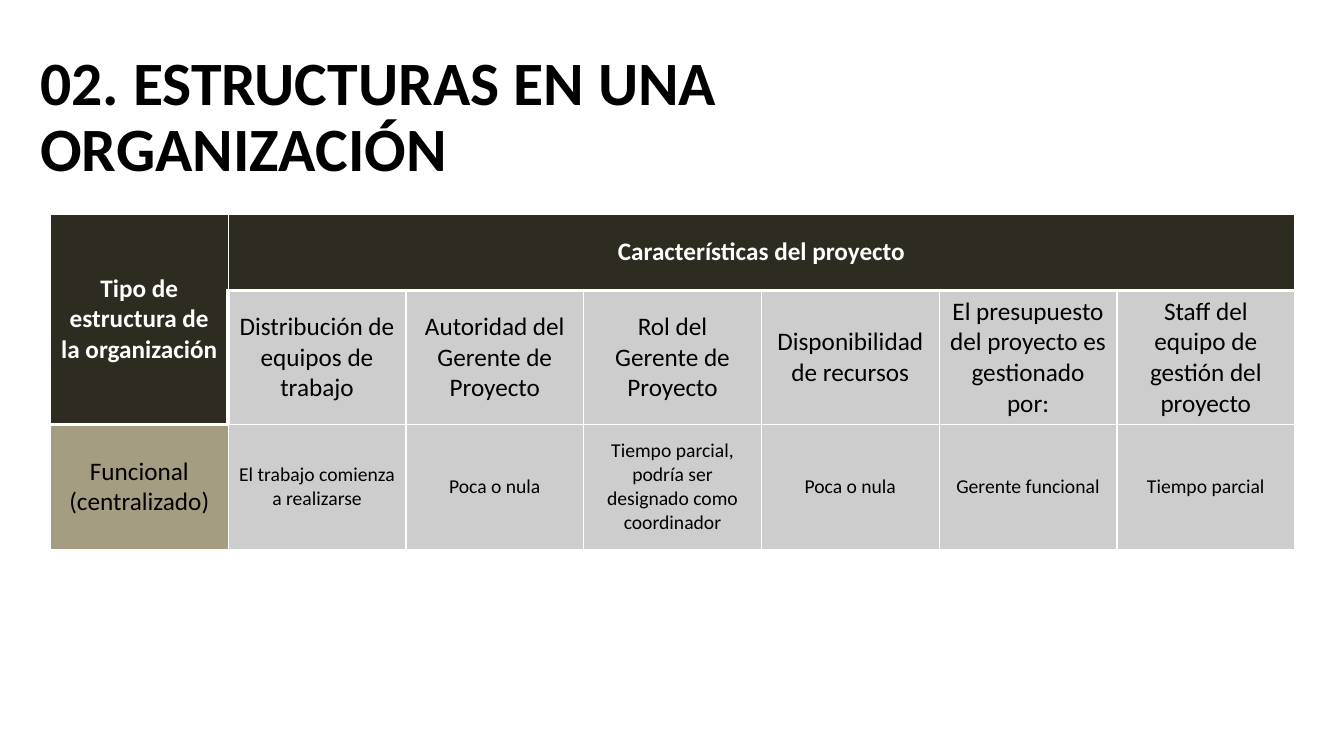
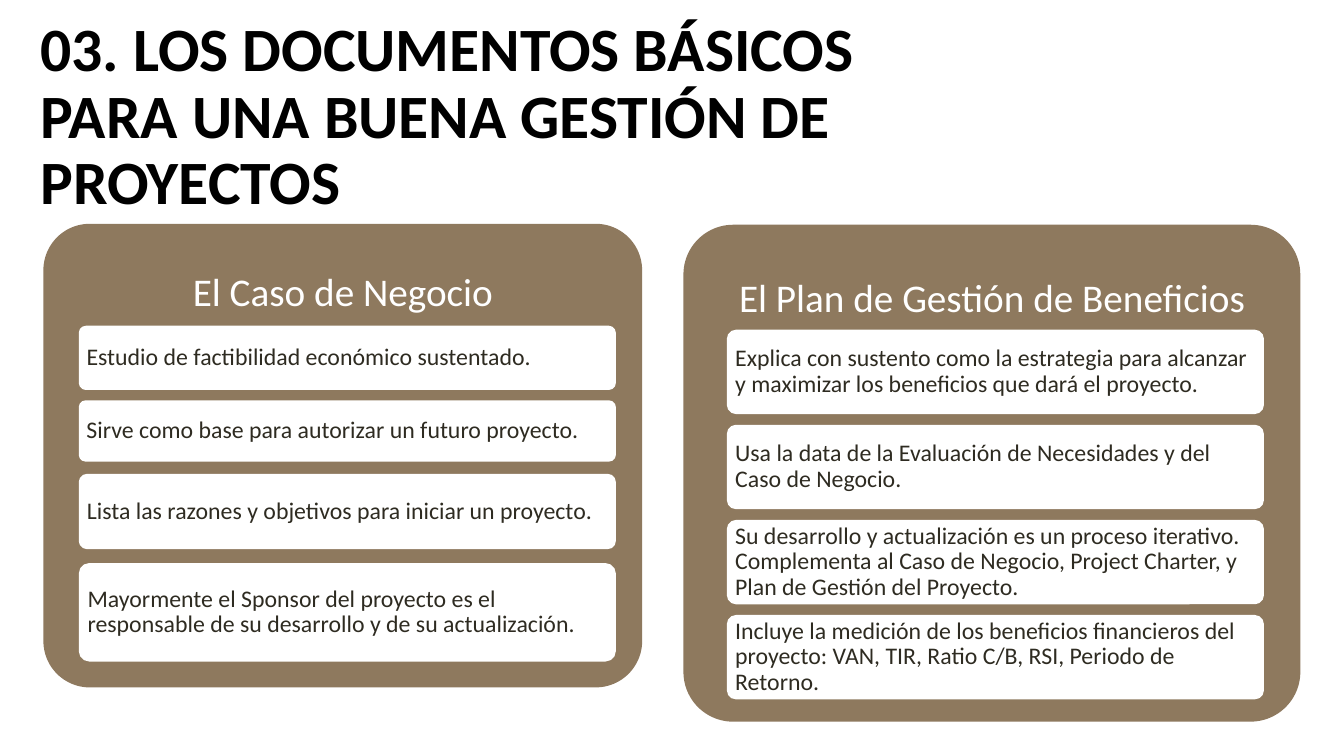
from dataclasses import dataclass

from lxml import etree
from pptx import Presentation
from pptx import util as u
from pptx.dml.color import RGBColor
from pptx.enum import shapes, text
from pptx.oxml import ns


@dataclass(frozen=True)
class Theme:
    font: str = "Calibri"
    black: str = "000000"
    white: str = "FFFFFF"
    dark: str = "2E2B21"
    gray: str = "CDCDCD"
    sand: str = "A59D82"
    brown: str = "8E795E"
    title: int = 44
    head: int = 28
    label: int = 18
    item: int = 17
    small: int = 14
    thin: float = 1
    edge: float = 1.25
    thick: float = 3
    tight: float = 0.9
    round: float = 0.1


LEFT, MID = text.PP_ALIGN.LEFT, text.PP_ALIGN.CENTER


class Deck:
    """Holds the theme and the current slide; boxes are percentages of the slide."""

    def __init__(self, theme):
        self.theme = theme
        self.prs = Presentation()
        self.prs.slide_width, self.prs.slide_height = u.Inches(13.33), u.Inches(7.5)
        self.slide = None

    def wide(self, share):
        return round(self.prs.slide_width * share / 100)

    def high(self, share):
        return round(self.prs.slide_height * share / 100)

    def place(self, box):
        x, y, w, h = box
        return self.wide(x), self.high(y), self.wide(w), self.high(h)

    def label(self, frame, words, size, color, bold=False, align=LEFT, lead=None):
        frame.word_wrap = True
        frame.vertical_anchor = text.MSO_ANCHOR.MIDDLE
        par = frame.paragraphs[0]
        par.alignment = align
        if lead:
            par.line_spacing = lead
        run = par.add_run()
        run.text = words
        font = run.font
        font.name, font.size, font.bold = self.theme.font, u.Pt(size), bold
        font.color.rgb = RGBColor.from_string(color)

    def pad(self, frame, side, top):
        frame.margin_left = frame.margin_right = u.Inches(side)
        frame.margin_top = frame.margin_bottom = u.Inches(top)

    def page(self, title):
        t = self.theme
        self.slide = self.prs.slides.add_slide(self.prs.slide_layouts[5])
        head = self.slide.shapes.title
        head.left, head.top, head.width, head.height = self.place((2.25, 6, 72.38, 19.33))
        head.text_frame.auto_size = text.MSO_AUTO_SIZE.NONE
        self.label(head.text_frame, title, t.title, t.black, True, lead=t.tight)

    def card(self, box, fill, line=None):
        kind = shapes.MSO_SHAPE.ROUNDED_RECTANGLE
        card = self.slide.shapes.add_shape(kind, *self.place(box))
        card.adjustments[0] = self.theme.round
        card.shadow.inherit = False
        card.fill.solid()
        card.fill.fore_color.rgb = RGBColor.from_string(fill)
        if line:
            card.line.color.rgb = RGBColor.from_string(line)
            card.line.width = u.Pt(self.theme.edge)
        else:
            card.line.fill.background()
        return card

    def panel(self, box, head):
        """Brown card whose heading is centred in its top 30 percent."""
        t = self.theme
        self.card(box, t.brown)
        x, y, w, h = box
        note = self.slide.shapes.add_textbox(*self.place((x, y, w, h * 0.3)))
        self.pad(note.text_frame, 0.12, 0.12)
        self.label(note.text_frame, head, t.head, t.white, align=MID, lead=t.tight)

    def item(self, box, words):
        t = self.theme
        frame = self.card(box, t.white, t.white).text_frame
        self.pad(frame, 0.05, 0.04)
        self.label(frame, words, t.item, t.dark, lead=t.tight)

    def table(self, box, rows, highs):
        """Table with a header over two rows; None marks a merged cell."""
        count = len(rows[0])
        grid = self.slide.shapes.add_table(len(rows), count, *self.place(box)).table
        grid.first_row = grid.horz_banding = False
        for col in grid.columns:
            col.width = self.wide(box[2] / count)
        for row, high in zip(grid.rows, highs):
            row.height = self.high(high)
        grid.cell(0, 0).merge(grid.cell(1, 0))
        grid.cell(0, 1).merge(grid.cell(0, count - 1))
        for r, row in enumerate(rows):
            for c, words in enumerate(row):
                self.cell(grid.cell(r, c), r, c, words)

    def cell(self, cell, r, c, words):
        t = self.theme
        head = r == 0 or (r == 1 and c == 0)
        fill = t.dark if head else t.sand if c == 0 else t.gray
        cell.fill.solid()
        cell.fill.fore_color.rgb = RGBColor.from_string(fill)
        heavy = {
            "L": (r, c) == (1, 1),
            "R": (r, c) == (1, 0),
            "T": (r == 1 and c > 0) or (r, c) == (2, 0),
            "B": head,
        }
        for n, (side, wide) in enumerate(heavy.items()):
            self.rule(cell, n, side, t.thick if wide else t.thin)
        if words:
            cell.vertical_anchor = text.MSO_ANCHOR.MIDDLE
            size = t.small if r == 2 and c else t.label
            self.label(cell.text_frame, words, size, t.white if head else t.black, head, MID)

    def rule(self, cell, n, side, size):
        props = cell._tc.get_or_add_tcPr()
        line = etree.Element(ns.qn("a:ln" + side), w=str(int(u.Pt(size))))
        fill = etree.SubElement(line, ns.qn("a:solidFill"))
        etree.SubElement(fill, ns.qn("a:srgbClr"), val=self.theme.white)
        props.insert(n, line)


TYPES = [
    ["Tipo de estructura de la organización", "Características del proyecto"] + [None] * 5,
    [
        None,
        "Distribución de equipos de trabajo",
        "Autoridad del Gerente de Proyecto",
        "Rol del Gerente de Proyecto",
        "Disponibilidad de recursos",
        "El presupuesto del proyecto es gestionado por:",
        "Staff del equipo de gestión del proyecto",
    ],
    [
        "Funcional (centralizado)",
        "El trabajo comienza a realizarse",
        "Poca o nula",
        "Tiempo parcial, podría ser designado como coordinador",
        "Poca o nula",
        "Gerente funcional",
        "Tiempo parcial",
    ],
]

CASE = [
    "Estudio de factibilidad económico sustentado.",
    "Sirve como base para autorizar un futuro proyecto.",
    "Lista las razones y objetivos para iniciar un proyecto.",
    "Mayormente el Sponsor del proyecto es el responsable de su desarrollo y de su actualización.",
]
CASE_ROWS = [(43.2, 8.27), (53.07, 7.87), (62.8, 9.73), (74.6, 12.8)]

PLAN = [
    "Explica con sustento como la estrategia para alcanzar y maximizar los beneficios "
    "que dará el proyecto.",
    "Usa la data de la Evaluación de Necesidades y del Caso de Negocio.",
    "Su desarrollo y actualización es un proceso iterativo. Complementa al Caso de Negocio, "
    "Project Charter, y Plan de Gestión del Proyecto.",
    "Incluye la medición de los beneficios financieros del proyecto: VAN, TIR, Ratio C/B, "
    "RSI, Periodo de Retorno.",
]
PLAN_ROWS = [(43.73 + 12.58 * n, 10.93) for n in range(len(PLAN))]

PANELS = [
    ("El Caso de Negocio", (3.23, 29.6, 44.55, 61.33), 5.93, CASE, CASE_ROWS),
    ("El Plan de Gestión de Beneficios", (50.85, 29.73, 45.9, 65.73), 54.15, PLAN, PLAN_ROWS),
]


def main():
    deck = Deck(Theme())

    deck.page("02. ESTRUCTURAS EN UNA ORGANIZACIÓN")
    deck.table((3.75, 28.3, 92.6, 44.4), TYPES, (10.13, 17.73, 16.53))

    deck.page("03. LOS DOCUMENTOS BÁSICOS PARA UNA BUENA GESTIÓN DE PROYECTOS")
    for head, box, left, items, rows in PANELS:
        deck.panel(box, head)
        for words, (top, high) in zip(items, rows):
            deck.item((left, top, 39.83, high), words)

    deck.prs.save("out.pptx")


if __name__ == "__main__":
    main()
